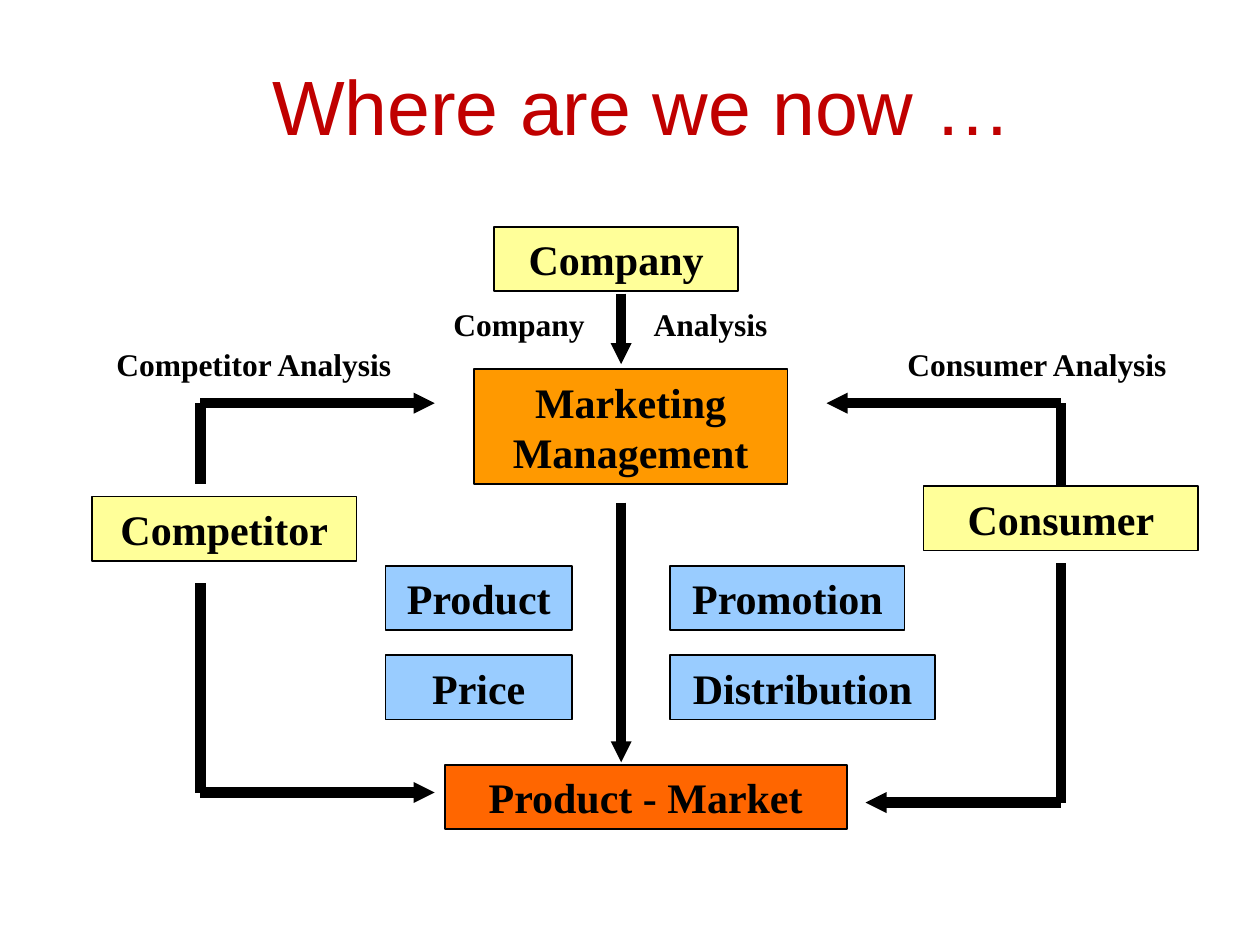
from lxml.etree import SubElement
from pptx import Presentation
from pptx.dml.color import RGBColor
from pptx.enum.shapes import MSO_CONNECTOR as Connector, MSO_SHAPE as Shape
from pptx.enum.text import MSO_ANCHOR as Anchor, PP_ALIGN as Align
from pptx.oxml.ns import qn
from pptx.util import Inches, Pt

COLORS = {
    "title": "C00000",
    "ink": "000000",
    "actor": "FFFF99",
    "management": "FF9900",
    "mix": "99CCFF",
    "market": "FF6600",
}
BOX_HEIGHT = 0.51
LABEL_HEIGHT = 0.4


class Diagram:
    """Draws styled elements on the current page."""

    def __init__(self, page):
        self.page = page

    def color(self, name):
        return RGBColor.from_string(COLORS[name])

    def set_text(self, shape, text, size, font="Times New Roman", bold=True,
                 color="ink", align=Align.CENTER, tab=None):
        frame = shape.text_frame
        frame.word_wrap = True
        frame.vertical_anchor = Anchor.MIDDLE
        frame.text = text
        para = frame.paragraphs[0]
        para.alignment = align
        if tab:
            tabs = SubElement(para._p.get_or_add_pPr(), qn("a:tabLst"))
            SubElement(tabs, qn("a:tab"), pos=str(Inches(tab)), algn="l")
        for span in para.runs:
            span.font.name = font
            span.font.size = Pt(size)
            span.font.bold = bold
            span.font.color.rgb = self.color(color)

    def label(self, text, left, top, width, height=LABEL_HEIGHT, size=18, **style):
        label = self.page.shapes.add_textbox(
            Inches(left), Inches(top), Inches(width), Inches(height))
        self.set_text(label, text, size, **style)

    def box(self, text, fill, left, top, width, height=BOX_HEIGHT):
        box = self.page.shapes.add_shape(
            Shape.RECTANGLE, Inches(left), Inches(top), Inches(width), Inches(height))
        box.shadow.inherit = False
        box.fill.solid()
        box.fill.fore_color.rgb = self.color(fill)
        box.line.color.rgb = self.color("ink")
        box.line.width = Pt(1)
        self.set_text(box, text, 24)
        return box

    def line(self, start, end, arrow=False):
        line = self.page.shapes.add_connector(
            Connector.STRAIGHT, *(Inches(value) for value in (*start, *end)))
        line.line.color.rgb = self.color("ink")
        line.line.width = Pt(6)
        properties = line._element.spPr
        if arrow:
            SubElement(properties.get_or_add_ln(), qn("a:tailEnd"),
                       type="triangle", w="sm", len="sm")
        SubElement(properties, qn("a:effectLst"))
        return line

    def elbow(self, start, corner, end):
        stem = self.line(start, corner)
        self.line(corner, end, arrow=True)
        return stem


def main():
    deck = Presentation()
    deck.slide_width, deck.slide_height = Inches(10), Inches(7.5)
    diagram = Diagram(deck.slides.add_slide(deck.slide_layouts[6]))

    diagram.label("Where are we now …", 0.92, 0.33, 8.36, 1, size=44,
                  font="Arial", bold=False, color="title")

    diagram.box("Marketing Management", "management", 3.76, 2.93, 2.49, 0.91)
    diagram.box("Company", "actor", 3.92, 1.8, 1.94)
    diagram.box("Competitor", "actor", 0.73, 3.94, 2.1)
    consumer = diagram.box("Consumer", "actor", 7.33, 3.86, 2.18)
    diagram.box("Product - Market", "market", 3.53, 6.07, 3.19)

    mix_columns = [
        (3.06, [("Product", 1.48), ("Price", 1.48)]),
        (5.32, [("Promotion", 1.86), ("Distribution", 2.1)]),
    ]
    for left, column in mix_columns:
        for row, (text, width) in enumerate(column):
            diagram.box(text, "mix", left, 4.49 + row * 0.71, width)

    diagram.label("Company\tAnalysis", 3.5, 2.37, 2.8, align=Align.LEFT, tab=1.59)
    diagram.label("Competitor Analysis", 0.5, 2.69, 3.03)
    diagram.label("Consumer Analysis", 6.79, 2.69, 2.88)

    center, left, right = 4.93, 1.59, 8.42
    diagram.line((center, 2.33), (center, 2.89), arrow=True)
    diagram.line((center, 3.99), (center, 6.05), arrow=True)
    diagram.elbow((left, 3.84), (left, 3.2), (3.45, 3.2))
    diagram.elbow((left, 4.63), (left, 6.29), (3.45, 6.29))
    stem = diagram.elbow((right, 3.86), (right, 3.2), (6.56, 3.2))
    stem.begin_connect(consumer, 0)
    diagram.elbow((right, 4.47), (right, 6.37), (6.87, 6.37))

    deck.save("out.pptx")


if __name__ == "__main__":
    main()
